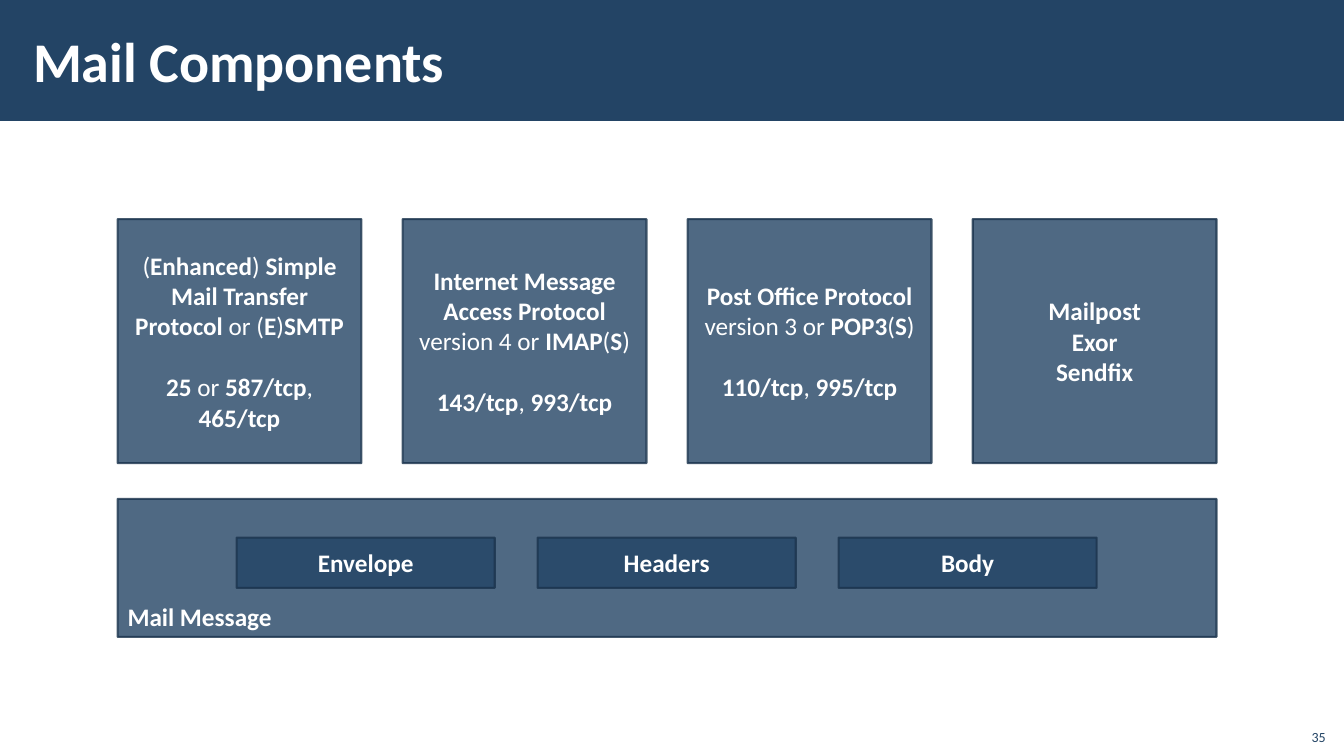
from lxml.etree import SubElement
from pptx import Presentation
from pptx.dml.color import RGBColor
from pptx.enum.shapes import MSO_SHAPE as Shape
from pptx.enum.text import MSO_ANCHOR as Anchor, PP_ALIGN as Align
from pptx.oxml.ns import qn
from pptx.util import Pt

NAVY, EDGE, WHITE = "234465", "1A334C", "FFFFFF"
FONT = "Calibri"


def paint(target, color):
    target.rgb = RGBColor.from_string(color)


def add_box(left, top, width, height, lines, align=Align.CENTER, anchor=Anchor.MIDDLE, gap=0):
    box = page.shapes.add_shape(Shape.RECTANGLE, Pt(left), Pt(top), Pt(width), Pt(height))
    box.shadow.inherit = False
    box.fill.solid()
    paint(box.fill.fore_color, NAVY)
    paint(box.line.color, EDGE)
    box.line.width = Pt(1.5)
    for color in box.element.spPr.iter(qn("a:srgbClr")):
        SubElement(color, qn("a:alpha")).set("val", "80000")
    frame = box.text_frame
    frame.word_wrap = True
    frame.vertical_anchor = anchor
    for index, line in enumerate(lines):
        para = frame.add_paragraph() if index else frame.paragraphs[0]
        para.alignment = align
        para.space_before = Pt(gap if index else 0)
        for part, words in enumerate(line.split("*")):
            if words:
                span = para.add_run()
                span.text = words
                span.font.name = FONT
                span.font.size = Pt(18)
                span.font.bold = part % 2 == 1
                paint(span.font.color, WHITE)


deck = Presentation()
deck.slide_width, deck.slide_height = Pt(960), Pt(540)
page = deck.slides.add_slide(deck.slide_layouts[5])

band = page.shapes.add_shape(Shape.RECTANGLE, 0, 0, Pt(960), Pt(86.4))
band.shadow.inherit = False
band.fill.solid()
paint(band.fill.fore_color, NAVY)
band.line.fill.background()

title = page.shapes.title
band.element.addnext(title.element)
title.left, title.top, title.width, title.height = Pt(15), Pt(8), Pt(765), Pt(70)
title.text_frame.text = "Mail Components"
title.text_frame.vertical_anchor = Anchor.MIDDLE
title.text_frame.margin_left = title.text_frame.margin_right = Pt(8.64)
heading = title.text_frame.paragraphs[0]
heading.alignment = Align.LEFT
heading.font.name = FONT
heading.font.size = Pt(40)
heading.font.bold = True
paint(heading.font.color, WHITE)

protocols = [
    ["(*Enhanced*) *Simple Mail Transfer Protocol *or (*E*)*SMTP*", "*25 *or *587/tcp*, *465/tcp*"],
    ["*Internet Message Access Protocol *version 4 or *IMAP*(*S*)", "*143/tcp*, *993/tcp*"],
    ["*Post Office Protocol *version 3 or *POP3*(*S*)", "*110/tcp*, *995/tcp*"],
]
servers = ["*Mailpost*", "*Exor*", "*Sendfix*"]
for column, lines in enumerate(protocols + [servers]):
    gap = 0 if lines is servers else 22
    add_box(84 + 203.6 * column, 156.5, 174.2, 174.4, lines, gap=gap)

add_box(84, 356.4, 785, 98.6, ["*Mail Message*"], Align.LEFT, Anchor.BOTTOM)
for column, part in enumerate(["Envelope", "Headers", "Body"]):
    add_box(169 + 215 * column, 384, 184.4, 36, [f"*{part}*"])

number = page.shapes.add_textbox(Pt(925), Pt(512.6), Pt(29), Pt(23))
number.text_frame.word_wrap = True
number.text_frame.vertical_anchor = Anchor.BOTTOM
number.text_frame.text = "35"
para = number.text_frame.paragraphs[0]
para.alignment = Align.RIGHT
span = para.runs[0]
span.font.name = FONT
span.font.size = Pt(10)
paint(span.font.color, NAVY)

deck.save("out.pptx")
